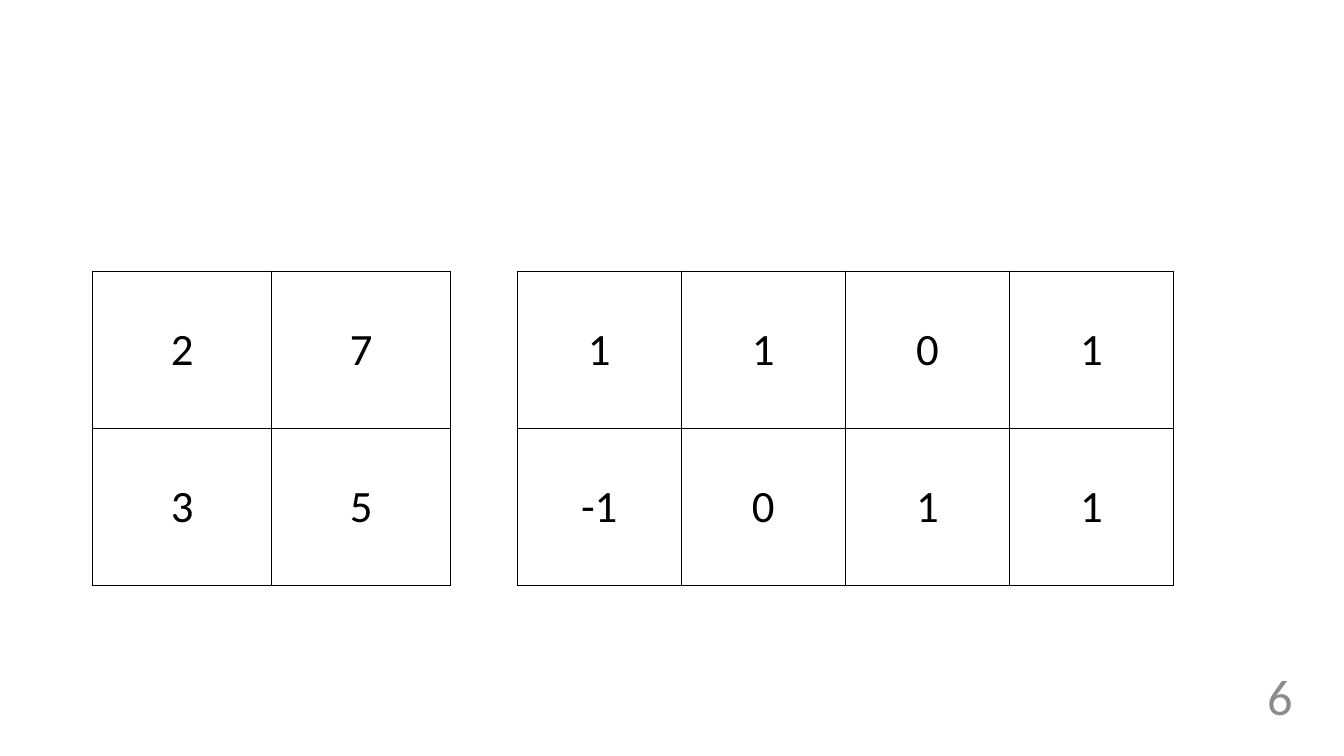
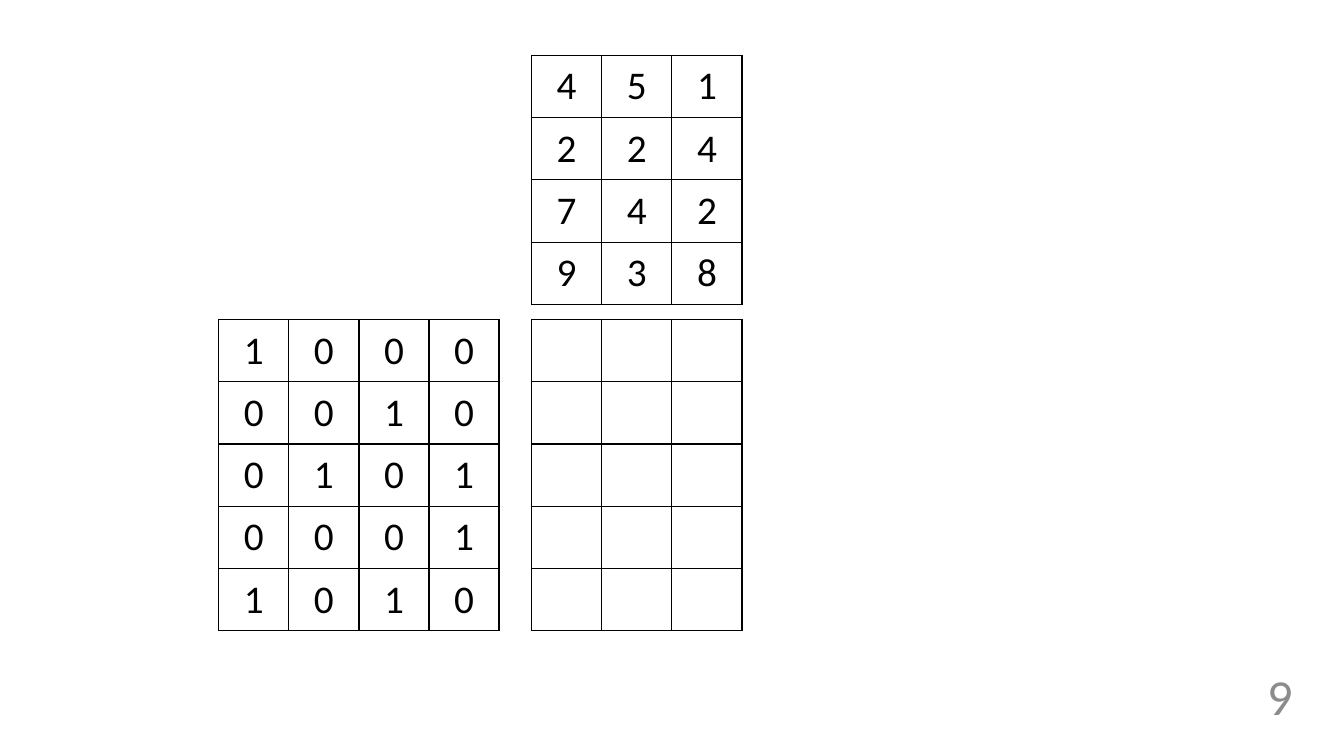
from lxml import etree
from pptx import Presentation
from pptx.dml.color import RGBColor
from pptx.enum.text import MSO_ANCHOR, PP_ALIGN
from pptx.oxml.ns import qn
from pptx.util import Inches, Pt

CENTER, RIGHT = PP_ALIGN.CENTER, PP_ALIGN.RIGHT
MIDDLE = MSO_ANCHOR.MIDDLE
BLACK = RGBColor(0x00, 0x00, 0x00)
GRAY = RGBColor(0x8C, 0x8C, 0x8C)
FONT = "Calibri"
BORDER_WIDTH = Pt(1)
BLANK_LAYOUT = 6

# Content: each matrix is (left, top, width, height, rows)
SLIDES = [
    {
        "number": "6",
        "size": 32,
        "matrices": [
            (0.92, 2.69, 3.55, 3.12, ["2 7", "3 5"]),
            (5.13, 2.69, 6.51, 3.12, ["1 1 0 1", "-1 0 1 1"]),
        ],
    },
    {
        "number": "9",
        "size": 28,
        "matrices": [
            (2.17, 3.17, 2.78, 3.09,
             ["1 0 0 0", "0 0 1 0", "0 1 0 1", "0 0 0 1", "1 0 1 0"]),
            (5.27, 0.55, 2.09, 2.47, ["4 5 1", "2 2 4", "7 4 2", "9 3 8"]),
            (5.27, 3.17, 2.09, 3.09, [None] * 5),
        ],
    },
]
RESULT_COLUMNS = 3  # width of the matrix left to be filled in


def style_paragraph(paragraph, size, color, align):
    paragraph.alignment = align
    paragraph.font.name = FONT
    paragraph.font.size = Pt(size)
    paragraph.font.color.rgb = color


def add_borders(cell):
    properties = cell._tc.get_or_add_tcPr()
    for side in ("a:lnL", "a:lnR", "a:lnT", "a:lnB"):
        line = etree.SubElement(properties, qn(side), w=str(BORDER_WIDTH))
        fill = etree.SubElement(line, qn("a:solidFill"))
        etree.SubElement(fill, qn("a:srgbClr"), val=str(BLACK))


def add_matrix(slide, left, top, width, height, rows, size):
    values = [row.split() if row else [""] * RESULT_COLUMNS for row in rows]
    row_count, column_count = len(values), len(values[0])
    matrix = slide.shapes.add_table(
        row_count, column_count,
        Inches(left), Inches(top), Inches(width), Inches(height)).table
    matrix.first_row = matrix.horz_banding = False
    for row, row_values in zip(matrix.rows, values):
        for cell, value in zip(row.cells, row_values):
            add_borders(cell)
            cell.fill.background()
            cell.vertical_anchor = MIDDLE
            cell.text = value
            style_paragraph(cell.text_frame.paragraphs[0], size, BLACK, CENTER)


def add_page_number(slide, number):
    box = slide.shapes.add_textbox(
        Inches(11.67), Inches(6.47), Inches(1.25), Inches(0.86))
    frame = box.text_frame
    frame.word_wrap = True
    frame.vertical_anchor = MIDDLE
    frame.text = number
    style_paragraph(frame.paragraphs[0], 36, GRAY, RIGHT)


def main():
    deck = Presentation()
    deck.slide_width, deck.slide_height = Inches(13.33), Inches(7.5)
    for content in SLIDES:
        slide = deck.slides.add_slide(deck.slide_layouts[BLANK_LAYOUT])
        for matrix in content["matrices"]:
            add_matrix(slide, *matrix, content["size"])
        add_page_number(slide, content["number"])
    deck.save("out.pptx")


if __name__ == "__main__":
    main()
